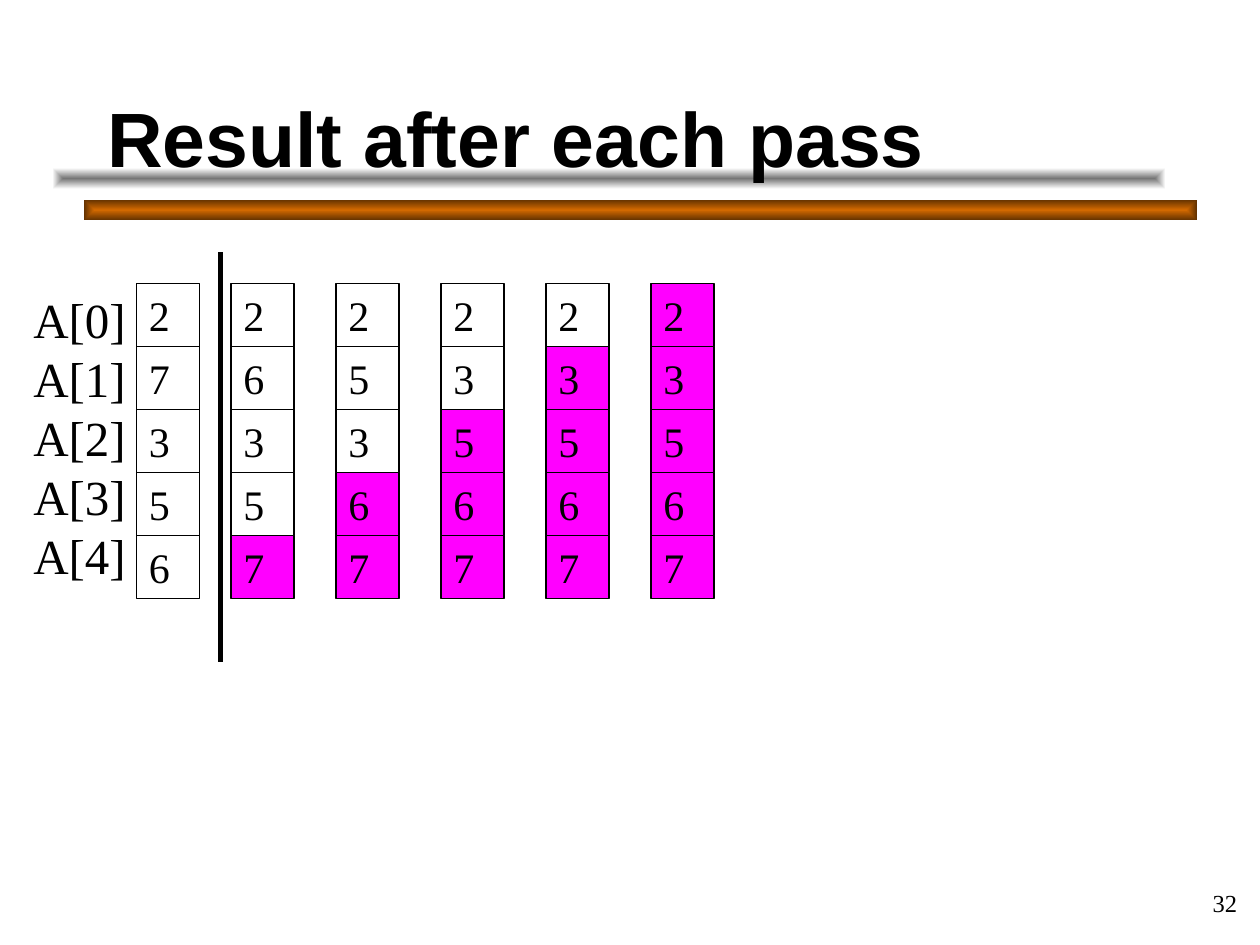
from dataclasses import dataclass

from lxml import etree
from pptx import Presentation
from pptx.dml.color import RGBColor
from pptx.enum.shapes import MSO_CONNECTOR, MSO_SHAPE
from pptx.enum.text import MSO_ANCHOR, MSO_AUTO_SIZE, PP_ALIGN
from pptx.oxml import parse_xml
from pptx.oxml.ns import nsdecls, qn
from pptx.util import Pt

RECTANGLE = MSO_SHAPE.RECTANGLE
STRAIGHT = MSO_CONNECTOR.STRAIGHT
TOP, MIDDLE, BOTTOM = MSO_ANCHOR.TOP, MSO_ANCHOR.MIDDLE, MSO_ANCHOR.BOTTOM
LEFT, RIGHT = PP_ALIGN.LEFT, PP_ALIGN.RIGHT
NO_AUTOFIT = MSO_AUTO_SIZE.NONE
TITLE_ONLY = 5


@dataclass(frozen=True)
class Theme:
    heading_font: str = "Arial"
    body_font: str = "Times New Roman"
    title_size: int = 44
    label_size: int = 28
    value_size: int = 24
    number_size: int = 14
    ink: RGBColor = RGBColor(0x00, 0x00, 0x00)
    sorted_fill: RGBColor = RGBColor(0xFF, 0x00, 0xFF)
    orange: RGBColor = RGBColor(0xD2, 0x69, 0x00)
    brown: RGBColor = RGBColor(0x61, 0x31, 0x00)
    gray: RGBColor = RGBColor(0x76, 0x76, 0x76)
    white: RGBColor = RGBColor(0xFF, 0xFF, 0xFF)


THEME = Theme()

CELL = 36
GRID_TOP = 162
INITIAL_LEFT = 78
PASSES_LEFT = 132
PASS_PITCH = 60

INITIAL = [2, 7, 3, 5, 6]
PASSES = [
    [2, 6, 3, 5, 7],
    [2, 5, 3, 6, 7],
    [2, 3, 5, 6, 7],
    [2, 3, 5, 6, 7],
    [2, 3, 5, 6, 7],
]


def write_text(shape, lines, size, font=THEME.body_font, bold=False,
               align=LEFT, anchor=TOP, wrap=True):
    frame = shape.text_frame
    frame.text = "\n".join(lines)
    frame.word_wrap = wrap
    frame.auto_size = NO_AUTOFIT
    frame.vertical_anchor = anchor
    for paragraph in frame.paragraphs:
        paragraph.alignment = align
        paragraph.font.name = font
        paragraph.font.size = Pt(size)
        paragraph.font.bold = bold
        paragraph.font.color.rgb = THEME.ink


def add_rectangle(slide, left, top, width, height):
    shape = slide.shapes.add_shape(RECTANGLE, Pt(left), Pt(top), Pt(width), Pt(height))
    shape.shadow.inherit = False
    return shape


def add_gradient_bar(slide, left, top, center_color, edge_color):
    """Add a bar whose colour runs from its centre to its edges."""
    bar = add_rectangle(slide, left, top, 636, 12)
    bar.line.fill.background()
    bar.fill.gradient()
    for stop, position, color in zip(bar.fill.gradient_stops, (0, 1),
                                     (center_color, edge_color)):
        stop.position = position
        stop.color.rgb = color
    linear = bar.element.spPr.find(".//" + qn("a:lin"))
    linear.getparent().replace(linear, parse_xml(
        f'<a:path {nsdecls("a")} path="rect">'
        '<a:fillToRect l="50000" t="50000" r="50000" b="50000"/></a:path>'))


def add_title(slide, text):
    title = slide.shapes.title
    title.left, title.top, title.width, title.height = Pt(54), Pt(18), Pt(612), Pt(90)
    write_text(title, [text], THEME.title_size, THEME.heading_font,
               bold=True, anchor=BOTTOM)
    # Bring the title in front of the bars
    title.element.getparent().append(title.element)


def add_text(slide, left, top, width, height, lines, size, **options):
    box = slide.shapes.add_textbox(Pt(left), Pt(top), Pt(width), Pt(height))
    write_text(box, lines, size, **options)


def add_array(slide, left, values, sorted_count=0):
    """Stack the values in cells, with the last sorted_count cells filled."""
    first_sorted = len(values) - sorted_count
    for index, value in enumerate(values):
        cell = add_rectangle(slide, left, GRID_TOP + index * CELL, CELL, CELL)
        if index >= first_sorted:
            cell.fill.solid()
            cell.fill.fore_color.rgb = THEME.sorted_fill
        else:
            cell.fill.background()
        cell.line.color.rgb = THEME.ink
        cell.line.width = Pt(1)
        write_text(cell, [str(value)], THEME.value_size)


def add_divider(slide, x, top, bottom):
    divider = slide.shapes.add_connector(STRAIGHT, Pt(x), Pt(top), Pt(x), Pt(bottom))
    divider.line.color.rgb = THEME.ink
    divider.line.width = Pt(2.5)
    etree.SubElement(divider.element.spPr, qn("a:effectLst"))


def main():
    presentation = Presentation()
    presentation.slide_width, presentation.slide_height = Pt(720), Pt(540)
    slide = presentation.slides.add_slide(presentation.slide_layouts[TITLE_ONLY])

    add_gradient_bar(slide, 48, 114, THEME.orange, THEME.brown)
    add_gradient_bar(slide, 30, 96, THEME.gray, THEME.white)
    add_title(slide, "Result after each pass")

    add_array(slide, INITIAL_LEFT, INITIAL)
    labels = [f"A[{index}]" for index in range(len(INITIAL))]
    add_text(slide, 12, GRID_TOP, 67, 176, labels, THEME.label_size, wrap=False)
    add_divider(slide, 126, 144, 378)
    for index, values in enumerate(PASSES):
        add_array(slide, PASSES_LEFT + index * PASS_PITCH, values, index + 1)

    add_text(slide, 564, 498, 150, 36, ["32"], THEME.number_size,
             align=RIGHT, anchor=MIDDLE)
    presentation.save("out.pptx")


if __name__ == "__main__":
    main()
